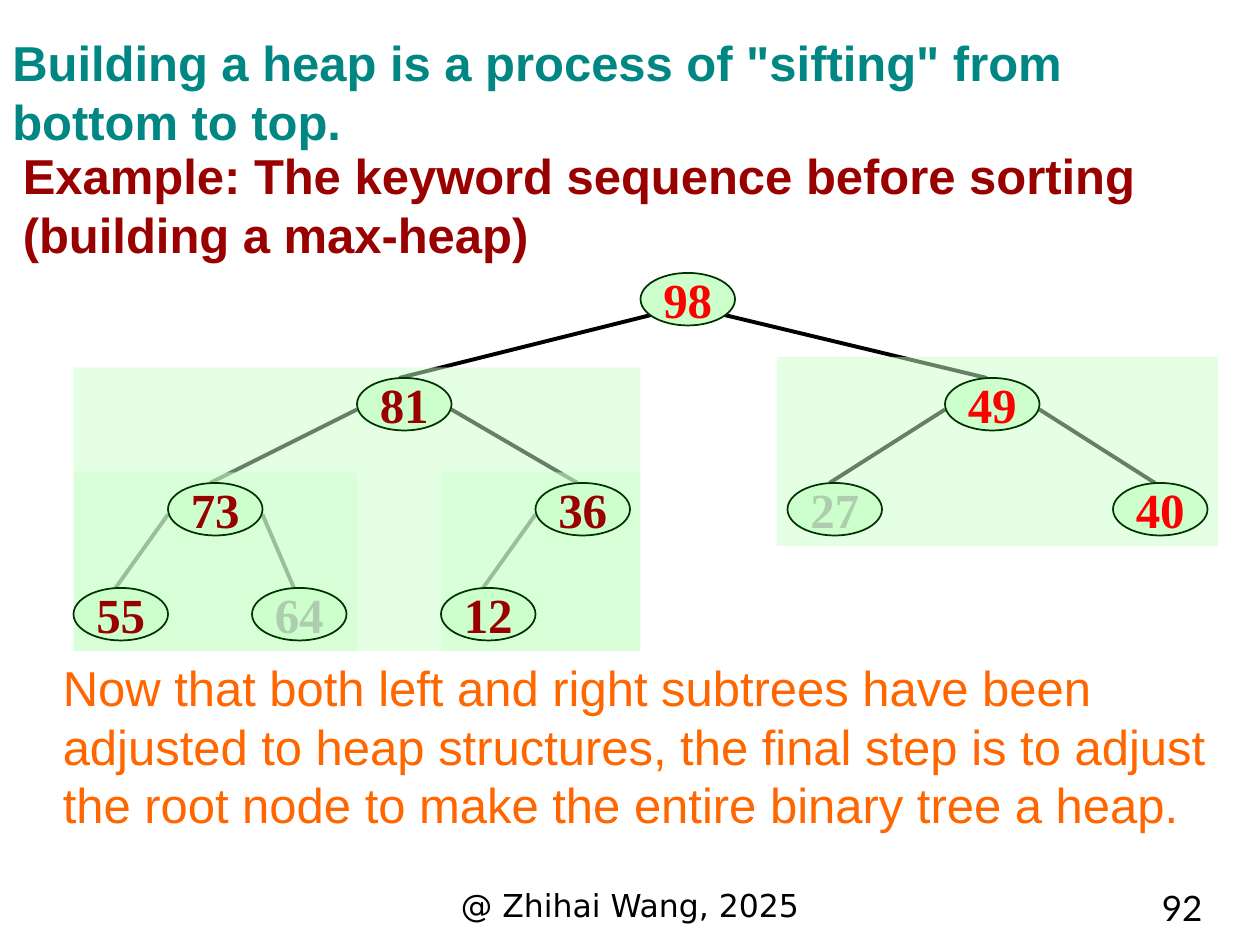
from lxml.etree import SubElement
from pptx import Presentation
from pptx.dml.color import RGBColor
from pptx.enum.shapes import MSO_CONNECTOR, MSO_SHAPE
from pptx.enum.text import MSO_ANCHOR, MSO_AUTO_SIZE, PP_ALIGN
from pptx.oxml.ns import qn
from pptx.util import Inches, Pt

COLORS = {
    "teal": "008784", "dark red": "990000", "red": "FF0000", "orange": "FF6600",
    "faded": "B0CCB0", "pale green": "CCFFCC", "dark green": "003300", "black": "000000",
}
# The grid has 120 columns and 90 rows; places are column, row, width, height.
CELL = Inches(10) / 120
NODE_WIDTH, NODE_HEIGHT = 9, 5
FIRST_ROW, LEVEL_STEP = 26, 10

HEADING = {"size": Pt(28), "name": "Arial", "bold": True}
BODY = {"size": Pt(28), "name": "Arial"}
NODE = {"size": Pt(28), "name": "Times New Roman", "bold": True}
LEFT, CENTER, RIGHT = PP_ALIGN.LEFT, PP_ALIGN.CENTER, PP_ALIGN.RIGHT

TITLE = ('Building a heap is a process of "sifting" from bottom to top.',
         (0, 2.5, 108, 12.5), HEADING, "teal", LEFT, True)
EXAMPLE = ("Example: The keyword sequence before sorting (building a max-heap)",
           (1, 13.3, 120, 12.5), HEADING, "dark red", LEFT, True)
CLOSING_TEXTS = [
    ("Now that both left and right subtrees have been adjusted to heap structures, "
     "the final step is to adjust the root node to make the entire binary tree a heap.",
     (4.8, 62, 115.2, 18.1), BODY, "orange", LEFT, True),
    ("@ Zhihai Wang, 2025", (41, 83.8, 38, 4.7),
     {"size": Pt(18), "name": "DejaVu Sans"}, "black", CENTER, False),
    ("92", (97.3, 83.8, 18.4, 4.7),
     {"size": Pt(20), "name": "Lato"}, "black", RIGHT, False),
]
# key: (column, level, text colour)
NODES = {
    "98": (61, 0, "red"),
    "81": (34, 1, "dark red"), "49": (90, 1, "red"),
    "73": (16, 2, "dark red"), "36": (51, 2, "dark red"),
    "27": (75, 2, "faded"), "40": (106, 2, "red"),
    "55": (7, 3, "dark red"), "64": (24, 3, "faded"), "12": (42, 3, "dark red"),
}
# parent: (left child, right child)
CHILDREN = {"98": ("81", "49"), "81": ("73", "36"), "49": ("27", "40"),
            "73": ("55", "64"), "36": ("12", None)}
SUBTREES = [(42, 45, 19, 17), (7, 45, 27, 17), (74, 34, 42, 18), (7, 35, 54, 27)]


def color(name):
    return RGBColor.from_string(COLORS[name])


def cells(*values):
    return [round(value * CELL) for value in values]


def node_corner(key):
    column, level, _ = NODES[key]
    return column, FIRST_ROW + level * LEVEL_STEP


def write(frame, text, font_values, color_name, alignment):
    para = frame.paragraphs[0]
    para.alignment = alignment
    span = para.add_run()
    span.text = text
    for name, value in font_values.items():
        setattr(span.font, name, value)
    span.font.color.rgb = color(color_name)


def add_text(page, text, place, font_values, color_name, alignment, grows):
    box = page.shapes.add_textbox(*cells(*place))
    box.text_frame.word_wrap = True
    if grows:
        box.text_frame.auto_size = MSO_AUTO_SIZE.SHAPE_TO_FIT_TEXT
    write(box.text_frame, text, font_values, color_name, alignment)


def add_filled_shape(page, kind, place):
    shape = page.shapes.add_shape(kind, *cells(*place))
    shape.shadow.inherit = False
    shape.fill.solid()
    shape.fill.fore_color.rgb = color("pale green")
    return shape


def add_edge(page, parent, child, is_right):
    """Run from the parent's flank to the top of the child."""
    column, row = node_corner(parent)
    child_column, child_row = node_corner(child)
    inset, drop = (1, 4) if NODES[parent][1] == 0 else (0, 3)
    start = column + (NODE_WIDTH - inset if is_right else inset)
    edge = page.shapes.add_connector(
        MSO_CONNECTOR.STRAIGHT, *cells(start, row + drop, child_column + 4, child_row))
    edge.line.width = Pt(2.25)
    edge.line.color.rgb = color("black")
    SubElement(edge.element.spPr, qn("a:effectLst"))


def add_subtree(page, place):
    """Half-transparent panel behind a finished subtree."""
    panel = add_filled_shape(page, MSO_SHAPE.RECTANGLE, place)
    panel.line.fill.background()
    tint = panel.element.spPr.find(qn("a:solidFill")).find(qn("a:srgbClr"))
    SubElement(tint, qn("a:alpha"), val="50000")


def add_node(page, key):
    node = add_filled_shape(page, MSO_SHAPE.OVAL,
                            (*node_corner(key), NODE_WIDTH, NODE_HEIGHT))
    node.line.color.rgb = color("dark green")
    node.line.width = Pt(1)
    node.text_frame.word_wrap = False
    node.text_frame.vertical_anchor = MSO_ANCHOR.MIDDLE
    write(node.text_frame, key, NODE, NODES[key][2], CENTER)


def main():
    deck = Presentation()
    deck.slide_width, deck.slide_height = cells(120, 90)
    page = deck.slides.add_slide(deck.slide_layouts[6])
    add_text(page, *TITLE)
    for parent, pair in CHILDREN.items():
        for is_right, child in enumerate(pair):
            if child:
                add_edge(page, parent, child, is_right)
    add_text(page, *EXAMPLE)
    for place in SUBTREES:
        add_subtree(page, place)
    for key in NODES:
        add_node(page, key)
    for item in CLOSING_TEXTS:
        add_text(page, *item)
    deck.save("out.pptx")


if __name__ == "__main__":
    main()
